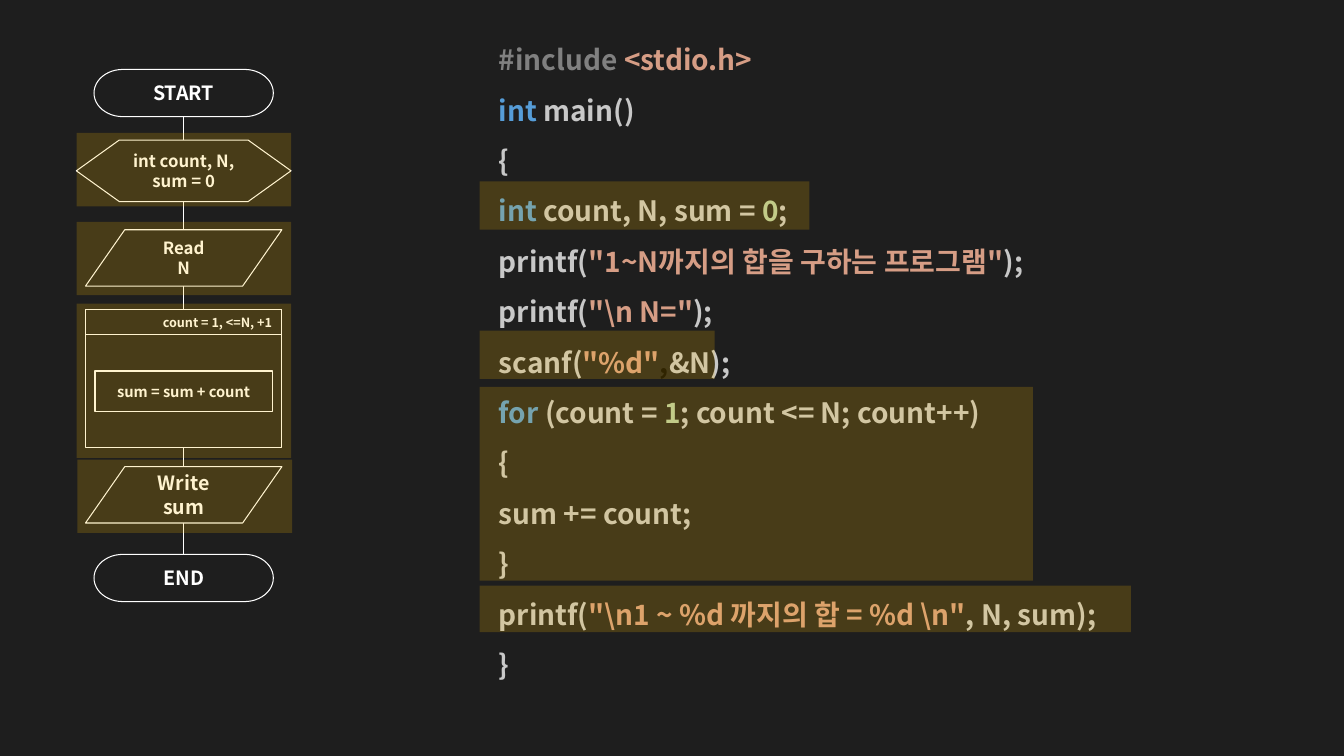
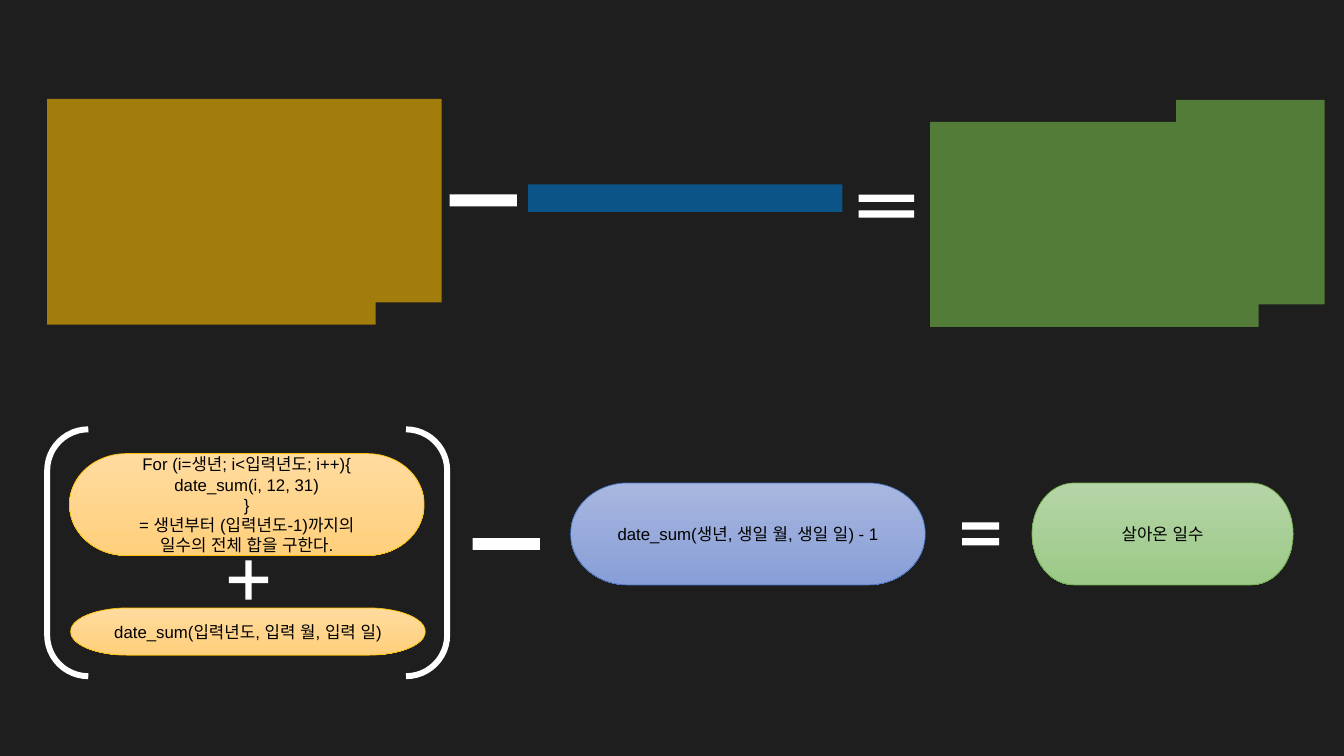
"""Builds two dark slides: a flowchart beside its C code, and a day-count formula."""
from lxml import etree
from pptx import Presentation, util as u
from pptx.dml.color import RGBColor
from pptx.enum import shapes, text
from pptx.oxml.ns import qn

Cm, Pt, rgb = u.Cm, u.Pt, RGBColor.from_string
G, AL = shapes.MSO_SHAPE, text.PP_ALIGN
BACK, WHITE, BLACK, GOLD = "1E1E1E", "FFFFFF", "000000", "FFC000"
GRAY, BLUE, PLAIN, STRING, NUMBER = "808080", "569DD8", "C8C8C8", "D69D85", "B5CEA8"
CODE_FONT = {"name": "Noto Sans CJK KR", "bold": True}
LABEL_FONT = {"name": "Arial", "size": Pt(12)}


def style(sp, fill=None, alpha=None, line=None, width=0.75):
    sp.shadow.inherit = False
    if isinstance(fill, tuple):
        sp.fill.gradient()
        sp.fill.gradient_angle = 270
        for stop, colour in zip(sp.fill.gradient_stops, fill):
            stop.color.rgb = rgb(colour)
    elif fill:
        sp.fill.solid()
        sp.fill.fore_color.rgb = rgb(fill)
    else:
        sp.fill.background()
    if alpha:
        clr = sp.element.spPr.find(".//" + qn("a:srgbClr"))
        etree.SubElement(clr, qn("a:alpha")).set("val", str(alpha * 1000))
    if line:
        sp.line.color.rgb = rgb(line)
        sp.line.width = Pt(width)
    else:
        sp.line.fill.background()
    return sp


def write(sp, lines, fmt, align=AL.CENTER, spacing=None):
    tf = sp.text_frame
    tf.word_wrap = True
    for i, runs in enumerate(lines):
        p = tf.paragraphs[0] if i == 0 else tf.add_paragraph()
        p.alignment = align
        p.line_spacing = spacing
        for words, colour in runs:
            r = p.add_run()
            r.text = words
            for key, value in fmt.items():
                setattr(r.font, key, value)
            r.font.color.rgb = rgb(colour)
            etree.SubElement(r.font._element, qn("a:ea")).set("typeface", fmt["name"])


prs = Presentation()
prs.slide_width, prs.slide_height = Cm(33.87), Cm(19.05)
prs.slide_master.background.fill.solid()
prs.slide_master.background.fill.fore_color.rgb = rgb(BACK)
blank = prs.slide_layouts[6]

s = prs.slides.add_slide(blank)
axis = 4.63
flow = s.shapes.add_connector(shapes.MSO_CONNECTOR.STRAIGHT, Cm(axis), Cm(2.94), Cm(axis), Cm(13.97))
flow.line.color.rgb = rgb(WHITE)
flow.line.width = Pt(0.75)
etree.SubElement(flow.element.spPr, qn("a:effectLst"))

steps = [
    (G.FLOWCHART_TERMINATOR, 1.75, 4.52, 1.19, None, 14, ["START"]),
    (G.FLOWCHART_PREPARATION, 3.53, 5.41, 1.55, BACK, 12, ["int count, N,", "sum = 0"]),
    (G.FLOWCHART_DATA, 5.79, 4.95, 1.42, BACK, 12, ["Read", "N"]),
    (G.FLOWCHART_PROCESS, 7.8, 4.95, 3.48, BACK, 12, []),
    (G.FLOWCHART_PROCESS, 7.8, 4.95, 0.64, None, 9, ["count = 1, <=N, +1"]),
    (G.FLOWCHART_PROCESS, 9.35, 4.47, 1.02, None, 10.5, ["sum = sum + count"]),
    (G.FLOWCHART_DATA, 11.76, 4.95, 1.42, BACK, 14, ["Write", "sum"]),
    (G.FLOWCHART_TERMINATOR, 13.97, 4.52, 1.19, None, 14, ["END"]),
]
boxes = []
for kind, y, w, h, fill, size, lines in steps:
    sp = s.shapes.add_shape(kind, Cm(axis - w / 2), Cm(y), Cm(w), Cm(h))
    style(sp, fill, line=WHITE)
    write(sp, [[(words, WHITE)] for words in lines], {**CODE_FONT, "size": Pt(size)},
          AL.RIGHT if size == 9 else AL.CENTER)
    boxes.append(sp)
flow.begin_connect(boxes[0], 2)
flow.end_connect(boxes[-1], 0)

code = [
    [("#include ", GRAY), ("<stdio.h>", STRING)],
    [("int ", BLUE), ("main()", PLAIN)],
    [("{", PLAIN)],
    [("int ", BLUE), ("count, N, sum = ", PLAIN), ("0", NUMBER), (";", PLAIN)],
    [("printf(", PLAIN), ('"1~N까지의 합을 구하는 프로그램"', STRING), (");", PLAIN)],
    [("printf(", PLAIN), (r'"\n N="', STRING), (");", PLAIN)],
    [("scanf(", PLAIN), ('"%d"', STRING), (",", BLACK), ("&N);", PLAIN)],
    [("for ", BLUE), ("(count = ", PLAIN), ("1", NUMBER), ("; count <= N; count++)", PLAIN)],
    [("{", PLAIN)],
    [("sum += count;", PLAIN)],
    [("}", PLAIN)],
    [("printf(", PLAIN), (r'"\n1 ~ %d 까지의 합 = %d \n"', STRING), (", N, sum);", PLAIN)],
    [("}", PLAIN)],
]
tb = s.shapes.add_textbox(Cm(12.32), Cm(0.53), Cm(16.97), Cm(16.92))
write(tb, code, {**CODE_FONT, "size": Pt(20)}, AL.LEFT, 1.5)

highlights = [
    (12.09, 4.57, 8.31, 1.22), (1.93, 3.35, 5.41, 1.85),
    (12.09, 8.33, 5.92, 1.22), (1.93, 5.59, 5.41, 1.85),
    (1.93, 7.65, 5.41, 3.89), (12.09, 9.75, 13.94, 4.88),
    (1.95, 11.58, 5.41, 1.85), (12.09, 14.76, 16.41, 1.17),
]
for box in highlights:
    style(s.shapes.add_shape(G.FLOWCHART_PROCESS, *map(Cm, box)), GOLD, 19)

s = prs.slides.add_slide(blank)
bracket = s.shapes.add_shape(G.DOUBLE_BRACKET, Cm(1.19), Cm(10.82), Cm(10.08), Cm(6.22))
style(bracket, line=WHITE, width=4.25)

ORANGE_FADE = ("FFDB9E", "FFD07C")
terms = [
    (1.75, 11.43, 8.94, 2.57, ORANGE_FADE, GOLD,
     ["For (i=생년; i<입력년도; i++){", "date_sum(i, 12, 31)", "}",
      "= 생년부터 (입력년도-1)까지의", "일수의 전체 합을 구한다."]),
    (1.78, 15.32, 8.94, 1.19, ORANGE_FADE, GOLD, ["date_sum(입력년도, 입력 월, 입력 일)"]),
    (14.38, 12.17, 8.94, 2.57, ("A8B7DF", "889ED7"), "4472C4",
     ["date_sum(생년, 생일 월, 생일 일) - 1"]),
    (26.01, 12.17, 6.58, 2.57, ("B5D5A7", "9CC987"), "70AD47", ["살아온 일수"]),
]
for x, y, w, h, fade, edge, lines in terms:
    sp = s.shapes.add_shape(G.FLOWCHART_TERMINATOR, Cm(x), Cm(y), Cm(w), Cm(h))
    style(sp, fade, line=edge, width=0.5)
    write(sp, [[(words, BLACK)] for words in lines], LABEL_FONT)

areas = [
    ("70AD47", 66, [(29.64, 2.52), (33.38, 2.52), (33.38, 7.67), (31.72, 7.67),
                    (31.72, 8.24), (23.44, 8.24), (23.44, 3.07), (29.64, 3.07)]),
    (GOLD, 59, [(1.19, 2.49), (11.13, 2.49), (11.13, 7.62), (9.47, 7.62),
                (9.47, 8.18), (1.19, 8.18)]),
]
for fill, alpha, points in areas:
    corners = [(Cm(x), Cm(y)) for x, y in points]
    outline = s.shapes.build_freeform(*corners[0])
    outline.add_line_segments(corners[1:], close=True)
    style(outline.convert_to_shape(), fill, alpha)
style(s.shapes.add_shape(G.RECTANGLE, Cm(13.31), Cm(4.65), Cm(7.92), Cm(0.69)), "0070C0", 66)

signs = [
    (G.CROSS, 5.77, 14.12, 0.99, 0.99, [0.419]),
    (G.RECTANGLE, 11.91, 13.56, 1.7, 0.3, []),
    (G.RECTANGLE, 11.33, 4.9, 1.7, 0.3, []),
    (G.MATH_EQUAL, 21.39, 4.52, 1.9, 1.35, [0.137, 0.157]),
    (G.MATH_EQUAL, 24.08, 12.78, 1.27, 1.35, [0.137, 0.157]),
]
for kind, x, y, w, h, adjust in signs:
    sp = style(s.shapes.add_shape(kind, Cm(x), Cm(y), Cm(w), Cm(h)), WHITE)
    for i, value in enumerate(adjust):
        sp.adjustments[i] = value

prs.save("out.pptx")
